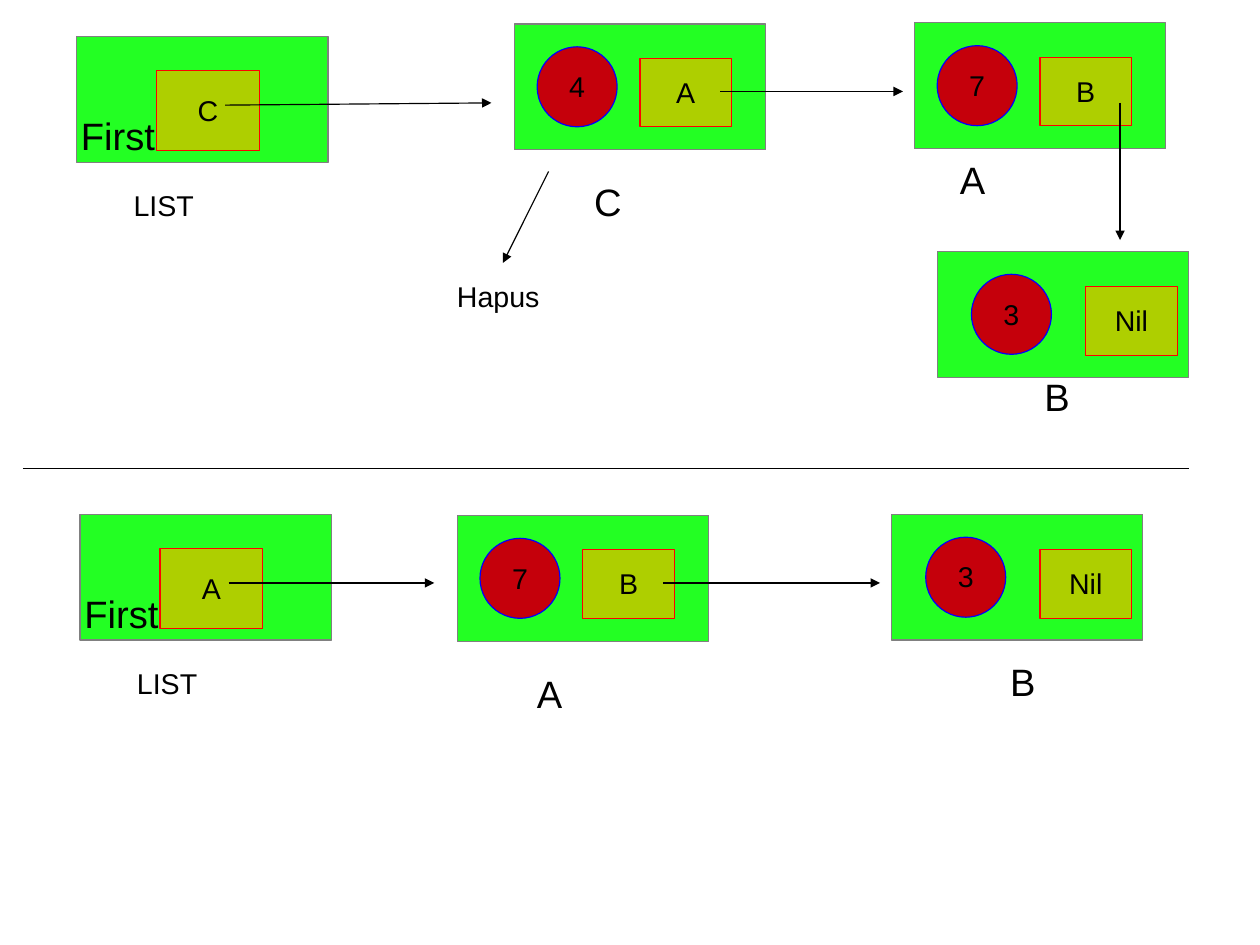
from dataclasses import dataclass

from lxml import etree
from pptx import Presentation
from pptx import util as u
from pptx.dml.color import RGBColor
from pptx.enum import shapes, text
from pptx.oxml.ns import qn


@dataclass(frozen=True)
class Theme:
    node: str = "23FF23"
    node_edge: str = "808080"
    value: str = "C5000B"
    value_edge: str = "0000FF"
    pointer: str = "AECF00"
    pointer_edge: str = "FF0000"
    ink: str = "000000"
    font: str = "Arial"
    small: int = 18
    large: int = 24
    stroke: float = 0.75
    spacing: float = 0.93


THEME = Theme()
SLIDE_SIZE = (u.Emu(10080625), u.Emu(7559675))  # 28 by 21 cm page
CELL = 0.1  # side of one grid cell in inches; all places below are in cells
NODE_SIZE = (22, 11)
VALUE_SIZE = (7, 7)
POINTER_SIZE = (8, 6)
HEAD_POINTER_SIZE = (9, 7)
NAME_SIZE = (3.6, 4.7)


def cells(*counts):
    return [u.Inches(count * CELL) for count in counts]


def write(shape, words, size, wrap, top=0.07, centred=False):
    frame = shape.text_frame
    frame.text = words
    middle = text.MSO_ANCHOR.MIDDLE if centred else text.MSO_ANCHOR.TOP
    frame_format = {
        "word_wrap": wrap, "vertical_anchor": middle,
        "margin_left": u.Inches(0.1), "margin_right": u.Inches(0.1),
        "margin_top": u.Inches(top), "margin_bottom": u.Inches(0.05),
    }
    for name, setting in frame_format.items():
        setattr(frame, name, setting)
    line = frame.paragraphs[0]
    line.line_spacing = THEME.spacing
    line.alignment = text.PP_ALIGN.CENTER if centred else text.PP_ALIGN.LEFT
    font = line.runs[0].font
    for name, setting in {"name": THEME.font, "size": u.Pt(size)}.items():
        setattr(font, name, setting)
    font.color.rgb = RGBColor.from_string(THEME.ink)


def add_block(slide, place, size, fill, edge, words="", kind="RECTANGLE"):
    block = slide.shapes.add_shape(shapes.MSO_SHAPE[kind], *cells(*place, *size))
    block.shadow.inherit = False
    block.fill.solid()
    block.fill.fore_color.rgb = RGBColor.from_string(fill)
    block.line.color.rgb = RGBColor.from_string(edge)
    block.line.width = u.Pt(THEME.stroke)
    if words:
        write(block, words, THEME.small, wrap=False, centred=True)


def add_label(slide, place, size, words, points, wrap=True):
    label = slide.shapes.add_textbox(*cells(*place, *size))
    write(label, words, points, wrap, top=0.07 if points == THEME.large else 0.05)


def add_line(slide, start, end, arrow=True):
    line = slide.shapes.add_connector(
        shapes.MSO_CONNECTOR.STRAIGHT, *cells(*start, *end))
    line.line.color.rgb = RGBColor.from_string(THEME.ink)
    line.line.width = u.Pt(THEME.stroke)
    properties = line.element.spPr
    if arrow:
        etree.SubElement(properties.find(qn("a:ln")), qn("a:tailEnd"), type="triangle")
    etree.SubElement(properties, qn("a:effectLst"))


def add_head(slide, left, top, target):
    """List head: the First pointer with LIST below it."""
    add_block(slide, (left, top), NODE_SIZE, THEME.node, THEME.node_edge)
    add_block(slide, (left + 7, top + 3), HEAD_POINTER_SIZE,
              THEME.pointer, THEME.pointer_edge, target)
    add_label(slide, (left - 0.6, top + 6.3), (11.6, 4.7), "First", THEME.large)
    add_label(slide, (left + 4, top + 13), (15, 3.8), "LIST", THEME.small)


def add_node(slide, left, top, value, target, name, name_offset):
    """List node: value, pointer to the next node and the node's own name."""
    last = target == "Nil"
    value_left, pointer_left = (3, 13) if last else (2, 11)
    add_block(slide, (left, top), NODE_SIZE, THEME.node, THEME.node_edge)
    add_block(slide, (left + value_left, top + 2), VALUE_SIZE,
              THEME.value, THEME.value_edge, value, "OVAL")
    add_block(slide, (left + pointer_left, top + (3.1 if last else 3)), POINTER_SIZE,
              THEME.pointer, THEME.pointer_edge, target)
    across, down = name_offset
    add_label(slide, (left + across, top + down), NAME_SIZE, name, THEME.large)


def add_list(slide, head, nodes, links):
    add_head(slide, *head)
    for node in nodes:
        add_node(slide, *node)
    for start, end in links:
        add_line(slide, start, end)


def main():
    deck = Presentation()
    deck.slide_width, deck.slide_height = SLIDE_SIZE
    slide = deck.slides.add_slide(deck.slide_layouts[6])

    # List before the deletion
    add_list(
        slide, (6.7, 3.2, "C"),
        [(45, 2.1, "4", "A", "C", (6, 13.2)),
         (80, 2, "7", "B", "A", (3, 11.3)),
         (82, 22, "3", "Nil", "B", (8.4, 10.3))],
        [((19.7, 9.2), (43, 9)), ((63, 8), (79, 8)), ((98, 9), (98, 21))])

    # Deleted node
    add_line(slide, (48, 15), (44, 23))
    add_label(slide, (39, 24.2), (9.2, 3.8), "Hapus", THEME.small, wrap=False)

    # Divider
    add_line(slide, (2, 41), (104, 41), arrow=False)

    # List after the deletion
    add_list(
        slide, (7, 45, "A"),
        [(40, 45.1, "7", "B", "A", (6, 13.2)),
         (78, 45, "3", "Nil", "B", (9.4, 12.3))],
        [((20, 51), (38, 51)), ((58, 51), (77, 51))])

    deck.save("out.pptx")


if __name__ == "__main__":
    main()
